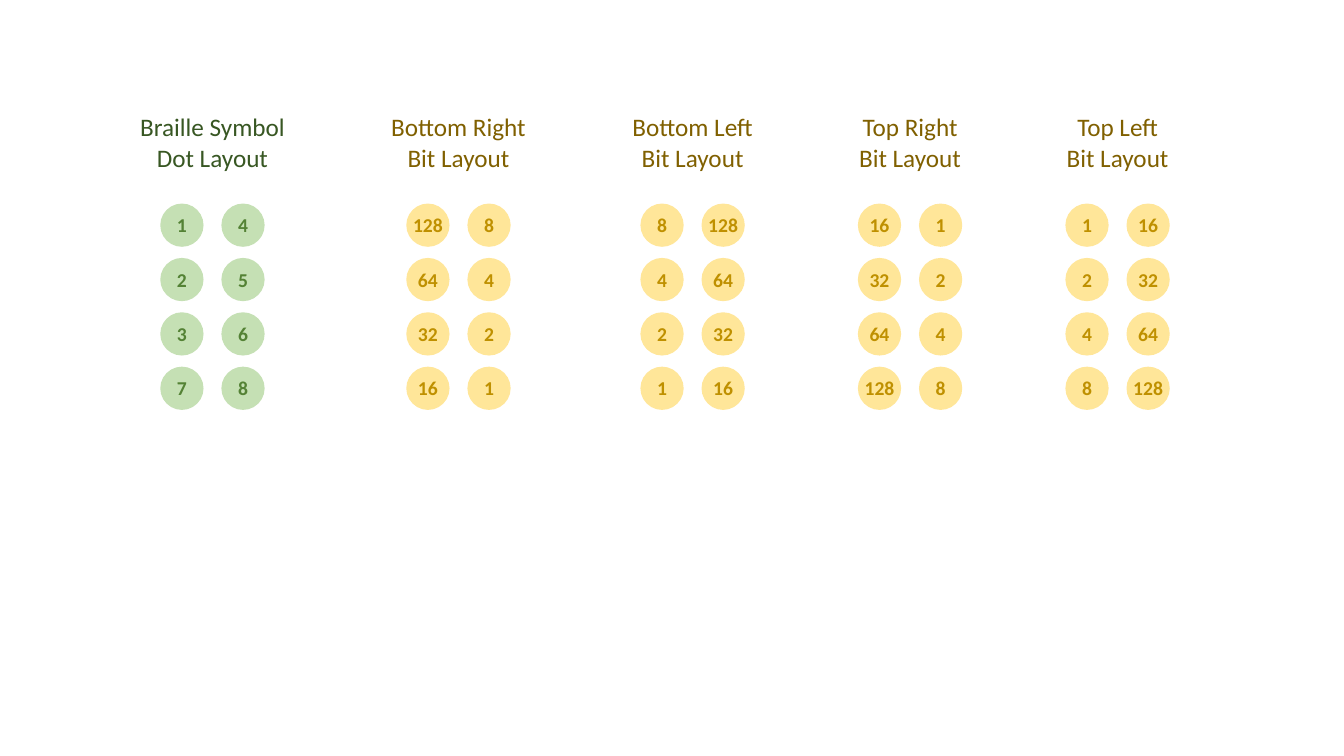
import pptx
import pptx.dml.color
import pptx.enum.shapes
import pptx.enum.text
import pptx.util

Cm = pptx.util.Cm
DOT = 1.09
STEP_X, STEP_Y = 1.54, 1.37
GRID = STEP_X + DOT
TOP = 2.69
TITLE_H = 1.8
DROP = 2.44
LABEL_W, LABEL_H = 1.3, 0.86

GREEN = {"dark": "385723", "mid": "548235", "pale": "C5E0B4"}
GOLD = {"dark": "806000", "mid": "BF9000", "pale": "FFE699"}

LAYOUTS = [
    (4.04, 4.19, "Braille Symbol\nDot Layout", GREEN, [(1, 2, 3, 7), (4, 5, 6, 8)]),
    (10.24, 3.96, "Bottom Right\nBit Layout", GOLD, [(128, 64, 32, 16), (8, 4, 2, 1)]),
    (16.14, 3.61, "Bottom Left\nBit Layout", GOLD, [(8, 4, 2, 1), (128, 64, 32, 16)]),
    (21.62, 3.1, "Top Right\nBit Layout", GOLD, [(16, 32, 64, 128), (1, 2, 4, 8)]),
    (26.85, 3.1, "Top Left\vBit Layout", GOLD, [(1, 2, 4, 8), (16, 32, 64, 128)]),
]


def tint(code):
    """Turn a hex string into a colour."""
    return pptx.dml.color.RGBColor.from_string(code)


def add_text(group, text, x, y, w, h, color, size=18, bold=False, wrap=False):
    """Add a centred text box at the given place in centimetres."""
    box = group.shapes.add_textbox(Cm(x), Cm(y), Cm(w), Cm(h))
    frame = box.text_frame
    frame.text = text
    frame.word_wrap = wrap
    frame.auto_size = pptx.enum.text.MSO_AUTO_SIZE.SHAPE_TO_FIT_TEXT
    for para in frame.paragraphs:
        para.alignment = pptx.enum.text.PP_ALIGN.CENTER
        for run in para.runs:
            run.font.name = "Calibri"
            run.font.size = pptx.util.Pt(size)
            run.font.bold = bold
            run.font.color.rgb = tint(color)


def add_dot(group, value, x, y, theme):
    """Add one round dot with its number in the middle."""
    oval = pptx.enum.shapes.MSO_SHAPE.OVAL
    dot = group.shapes.add_shape(oval, Cm(x), Cm(y), Cm(DOT), Cm(DOT))
    dot.shadow.inherit = False
    dot.fill.solid()
    dot.fill.fore_color.rgb = tint(theme["pale"])
    dot.line.fill.background()
    add_text(group, str(value), x + (DOT - LABEL_W) / 2, y + (DOT - LABEL_H) / 2,
             LABEL_W, LABEL_H, theme["mid"], size=14, bold=True, wrap=True)


def add_layout(slide, x, y, width, title, theme, columns):
    """Add a titled grid of dots, with its title centred above it."""
    group = slide.shapes.add_group_shape()
    for col, values in enumerate(columns):
        for row, value in enumerate(values):
            add_dot(group, value, x + col * STEP_X, y + DROP + row * STEP_Y, theme)
    add_text(group, title, x + (GRID - width) / 2, y, width, TITLE_H, theme["dark"])


def main():
    """Build the slide and save it."""
    deck = pptx.Presentation()
    deck.slide_width, deck.slide_height = Cm(33.87), Cm(19.05)
    slide = deck.slides.add_slide(deck.slide_layouts[6])
    for x, width, title, theme, columns in LAYOUTS:
        add_layout(slide, x, TOP, width, title, theme, columns)
    deck.save("out.pptx")


if __name__ == "__main__":
    main()
